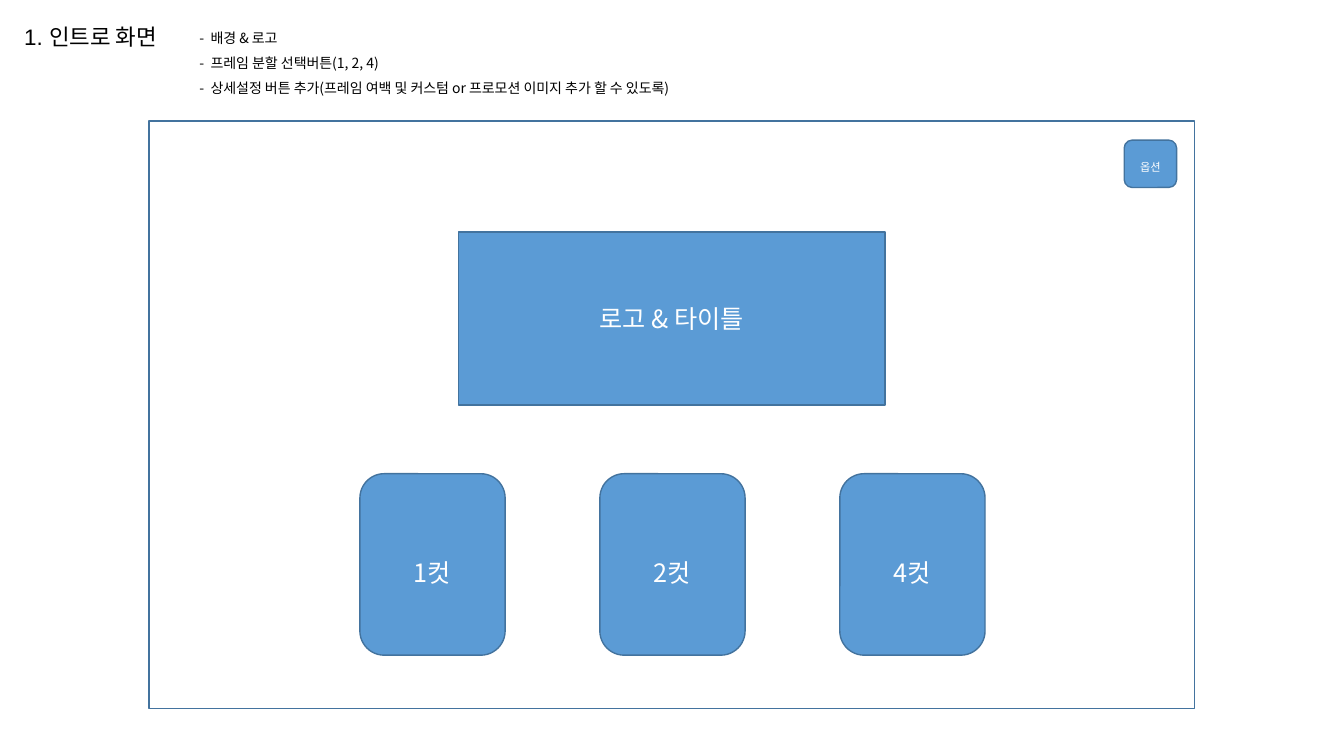
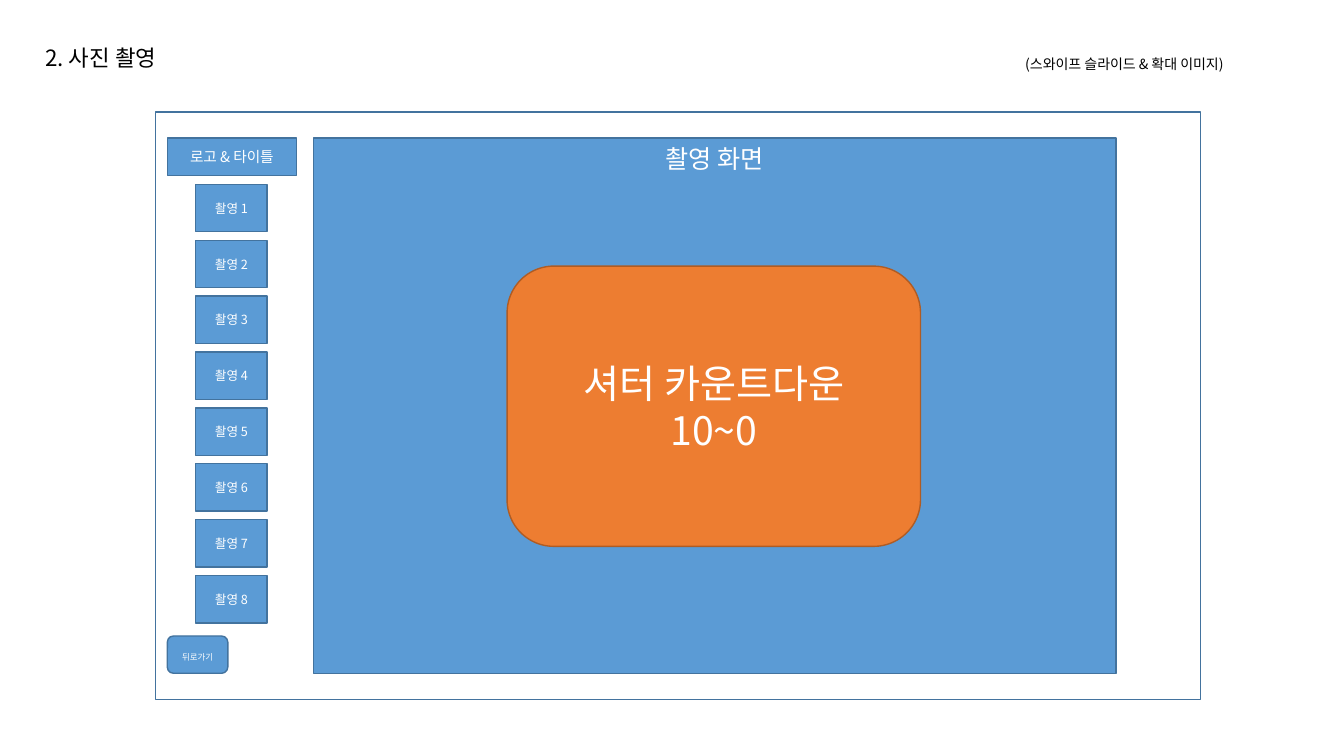
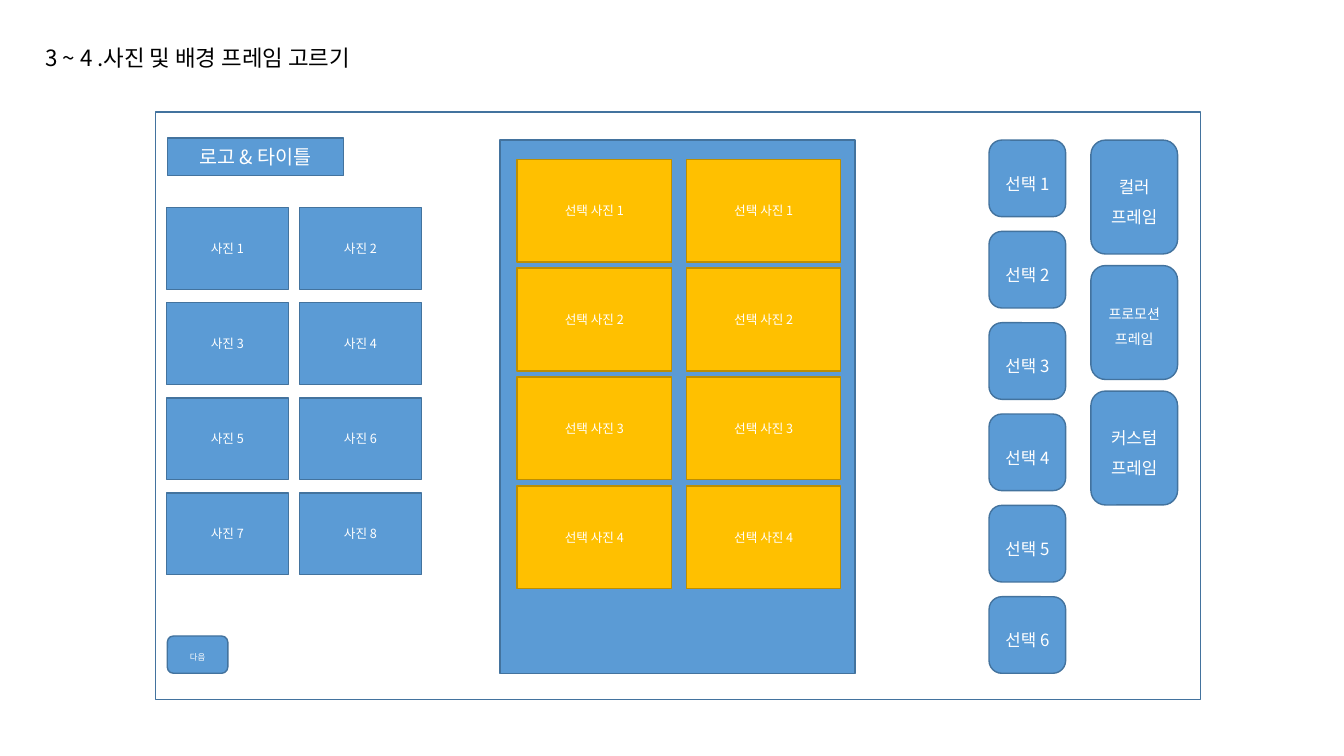
from lxml import etree
from pptx import Presentation
from pptx.dml.color import RGBColor
from pptx.enum import shapes, text
from pptx.oxml import ns
from pptx.util import Inches, Pt

BLACK = RGBColor(0x00, 0x00, 0x00)
WHITE = RGBColor(0xFF, 0xFF, 0xFF)
BLUE = RGBColor(0x5B, 0x9B, 0xD5)
NAVY = RGBColor(0x43, 0x73, 0x9E)
ORANGE = RGBColor(0xED, 0x7D, 0x31)
RUST = RGBColor(0xAF, 0x5C, 0x24)
GOLD = RGBColor(0xFF, 0xC0, 0x00)
OCHRE = RGBColor(0xBD, 0x8E, 0x00)
FONT = "Noto Sans CJK KR"
RECT = shapes.MSO_SHAPE.RECTANGLE
ROUND = shapes.MSO_SHAPE.ROUNDED_RECTANGLE
LEFT = text.PP_ALIGN.LEFT
CENTER = text.PP_ALIGN.CENTER
TOP = text.MSO_ANCHOR.TOP
MIDDLE = text.MSO_ANCHOR.MIDDLE
LOGO = "로고 & 타이틀"


def write(frame, words, size, color, align, space, font=FONT):
    frame.text = words
    for para in frame.paragraphs:
        para.alignment = align
        para.line_spacing = space
        for run in para.runs:
            run.font.size = Pt(size)
            run.font.color.rgb = color
            run.font.name = font
            east = etree.SubElement(run._r.get_or_add_rPr(), ns.qn("a:ea"))
            east.set("typeface", FONT)


def box(slide, area, words="", size=9, kind=RECT, fill=BLUE, edge=NAVY,
        space=1.0, anchor=MIDDLE):
    shape = slide.shapes.add_shape(kind, *map(Inches, area))
    shape.shadow.inherit = False
    shape.fill.solid()
    shape.fill.fore_color.rgb = fill
    shape.line.color.rgb = edge
    shape.line.width = Pt(1)
    if words:
        shape.text_frame.vertical_anchor = anchor
        write(shape.text_frame, words, size, WHITE, CENTER, space)


def button(slide, area, words, size):
    box(slide, area, words, size, ROUND, space=1.5)


def label(slide, area, words, wrap=True):
    note = slide.shapes.add_textbox(*map(Inches, area))
    note.text_frame.word_wrap = wrap
    write(note.text_frame, words, 10, BLACK, LEFT, 1.5)


def cells(area, cols, rows, wide, high):
    left, top, width, height = area
    across = (width - wide) / max(cols - 1, 1)
    down = (height - high) / max(rows - 1, 1)
    return [(left + col * across, top + row * down, wide, high)
            for row in range(rows) for col in range(cols)]


def screen(deck, title, area, x, y, font=FONT):
    slide = deck.slides.add_slide(deck.slide_layouts.get_by_name("Title Only"))
    head = slide.shapes.title
    head.left, head.top, head.width, head.height = map(Inches, area)
    head.text_frame.auto_size = text.MSO_AUTO_SIZE.NONE
    head.text_frame.vertical_anchor = MIDDLE
    write(head.text_frame, title, 16, BLACK, LEFT, 0.9, font)
    box(slide, (x, y, 10.37, 5.83), fill=WHITE)
    return slide


def intro(deck, x, y):
    slide = screen(deck, "1. 인트로 화면", (0.14, 0.07, 1.74, 0.61), x, y, "Arial")
    label(slide, (1.88, 0.16, 6.67, 0.83),
          "-  배경 & 로고\n"
          "-  프레임 분할 선택버튼(1, 2, 4)\n"
          "-  상세설정 버튼 추가(프레임 여백 및 커스텀 or 프로모션 이미지 추가 할 수 있도록)")
    box(slide, (x + 3.07, y + 1.1, 4.23, 1.72), LOGO, 18)
    button(slide, (x + 9.67, y + 0.19, 0.52, 0.47), "옵션", 8)
    cuts = cells((x + 2.09, y + 3.5, 6.2, 1.8), 3, 1, 1.44, 1.8)
    for count, area in zip((1, 2, 4), cuts):
        button(slide, area, f"{count}컷", 18)


def shoot(deck, x, y):
    slide = screen(deck, "2. 사진 촬영", (0.35, 0.28, 6.7, 0.61), x, y)
    box(slide, (x + 0.12, y + 0.26, 1.28, 0.37), LOGO, 10.5)
    label(slide, (10.07, 0.42, 2.42, 0.32), "(스와이프 슬라이드 & 확대 이미지)", False)
    button(slide, (x + 0.12, y + 5.2, 0.6, 0.37), "뒤로가기", 6)
    box(slide, (x + 1.57, y + 0.26, 7.96, 5.31), "촬영 화면", 18, anchor=TOP)
    box(slide, (x + 3.49, y + 1.53, 4.1, 2.78), "셔터 카운트다운\n10~0", 28,
        ROUND, ORANGE, RUST)
    shots = cells((x + 0.4, y + 0.72, 0.71, 4.35), 1, 8, 0.71, 0.47)
    for index, area in enumerate(shots, 1):
        box(slide, area, f"촬영 {index}")


def choose(deck, x, y):
    slide = screen(deck, "3 ~ 4 .사진 및 배경 프레임 고르기", (0.35, 0.28, 3.84, 0.61), x, y)
    box(slide, (x + 0.12, y + 0.26, 1.75, 0.37), LOGO, 14)
    button(slide, (x + 0.12, y + 5.2, 0.6, 0.37), "다음", 6)
    photos = cells((x + 0.11, y + 0.95, 2.53, 3.64), 2, 4, 1.21, 0.81)
    for index, area in enumerate(photos, 1):
        box(slide, area, f"사진 {index}")
    box(slide, (x + 3.42, y + 0.28, 3.52, 5.29))
    picks = cells((x + 3.59, y + 0.47, 3.21, 4.26), 2, 4, 1.53, 1.02)
    for index, area in enumerate(picks):
        box(slide, area, f"선택 사진 {index // 2 + 1}", fill=GOLD, edge=OCHRE)
    options = cells((x + 8.27, y + 0.28, 0.76, 5.29), 1, 6, 0.76, 0.76)
    for index, area in enumerate(options, 1):
        button(slide, area, f"선택 {index}", 12)
    kinds = (("컬러", 12), ("프로모션", 10), ("커스텀", 12))
    places = cells((x + 9.28, y + 0.28, 0.86, 3.62), 1, 3, 0.86, 1.13)
    for (name, size), area in zip(kinds, places):
        button(slide, area, f"{name}\n프레임", size)


def main():
    deck = Presentation()
    deck.slide_width = Inches(13.33)
    deck.slide_height = Inches(7.5)
    intro(deck, 1.48, 1.2)
    shoot(deck, 1.54, 1.11)
    choose(deck, 1.54, 1.11)
    deck.save("out.pptx")


if __name__ == "__main__":
    main()
